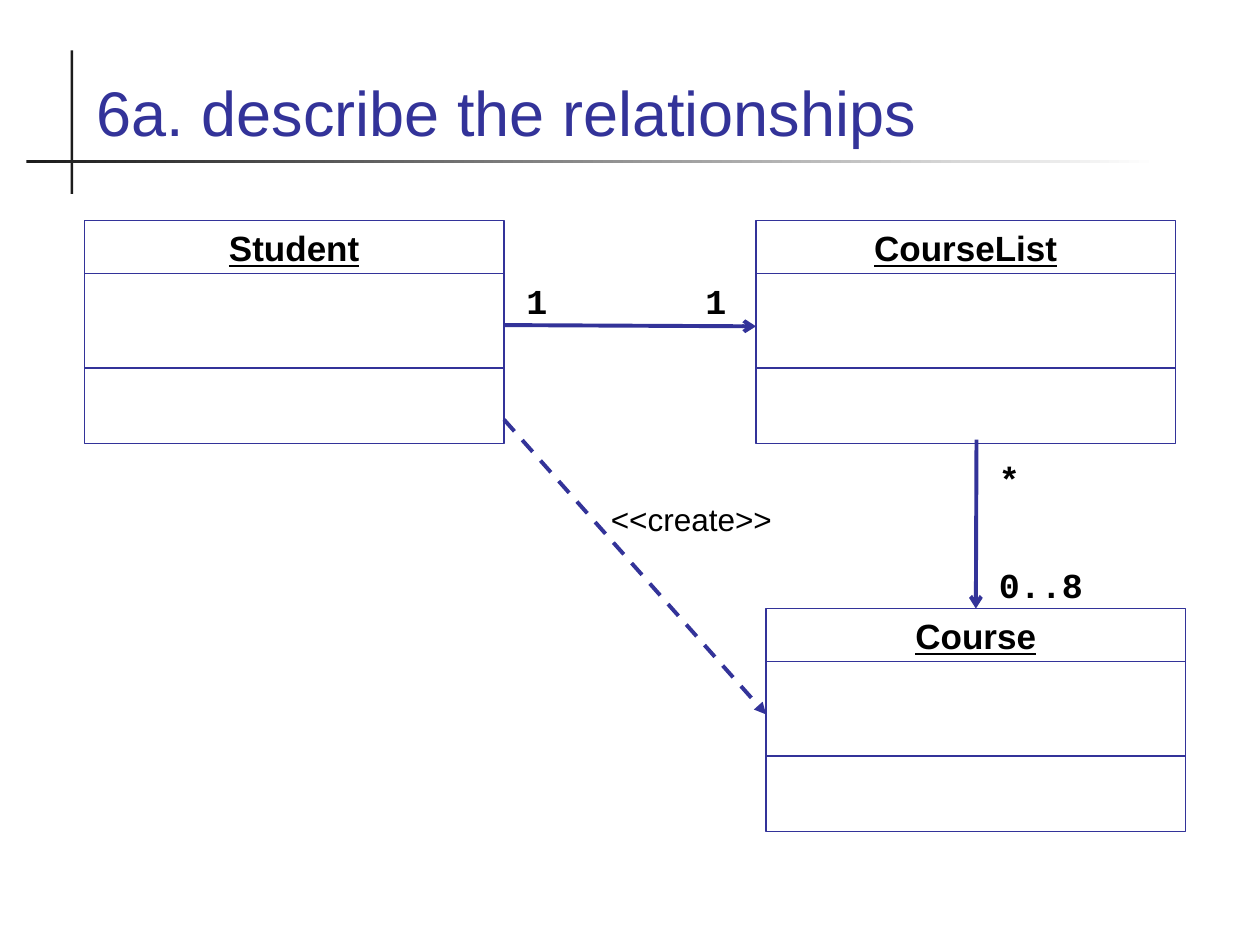
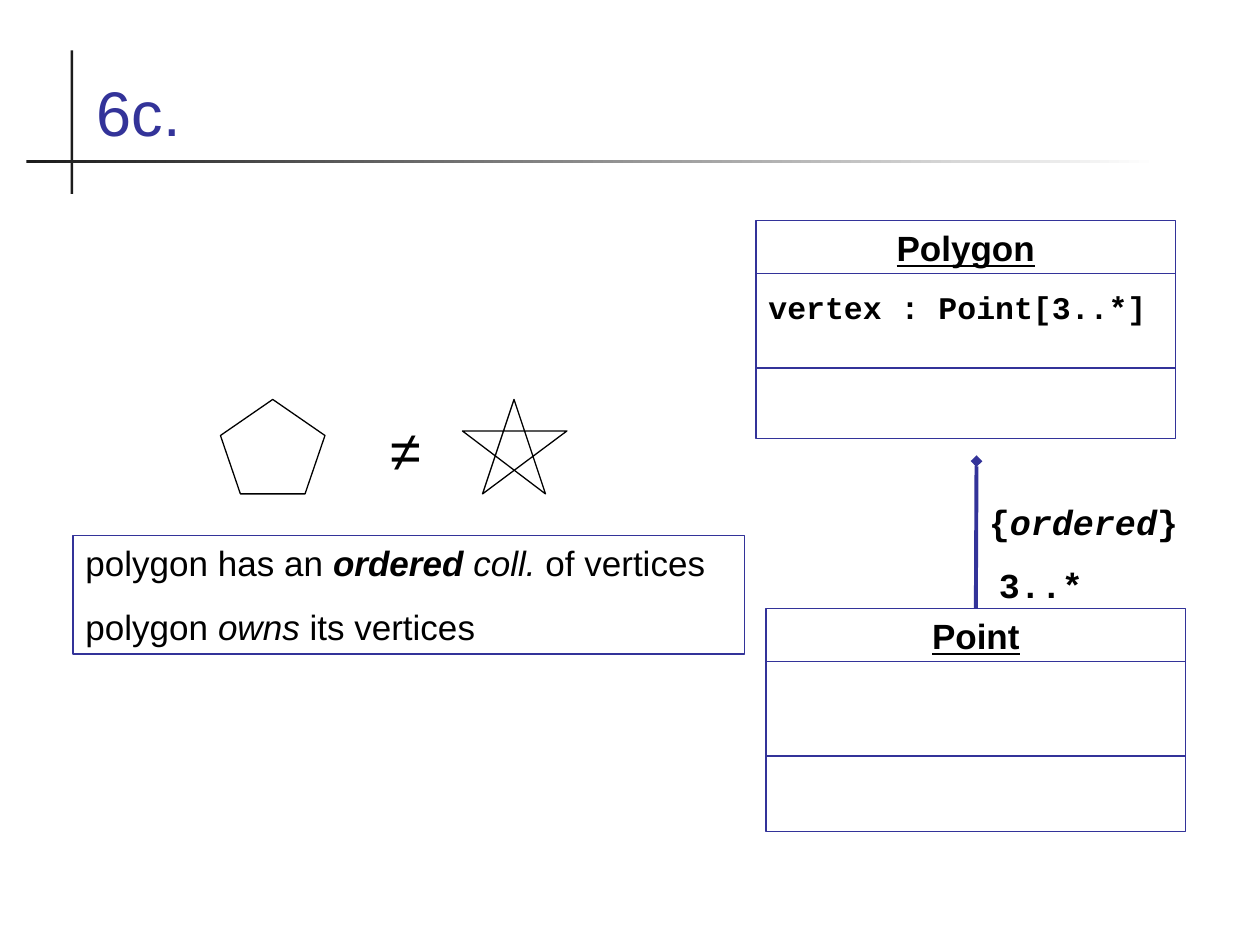
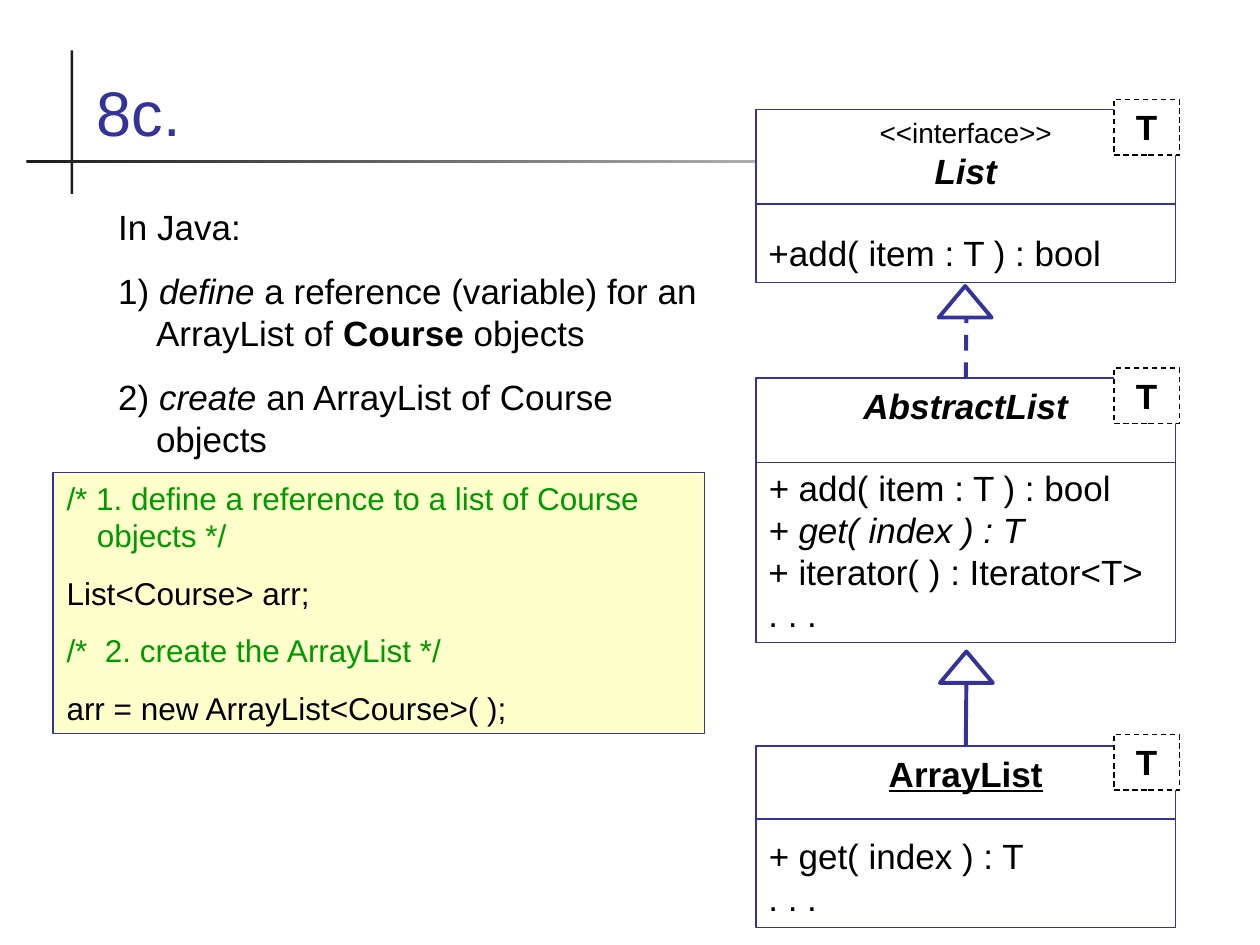
from dataclasses import dataclass

import lxml.etree
import pptx
import pptx.dml.color
import pptx.enum.dml
import pptx.enum.shapes
import pptx.enum.text
import pptx.oxml.ns
import pptx.util

Inches = pptx.util.Inches
Pt = pptx.util.Pt
RGBColor = pptx.dml.color.RGBColor
MSO_SHAPE = pptx.enum.shapes.MSO_SHAPE
PP_ALIGN = pptx.enum.text.PP_ALIGN
DASH = pptx.enum.dml.MSO_LINE.DASH
qn = pptx.oxml.ns.qn

INDIGO = RGBColor(0x33, 0x33, 0x99)
CHARCOAL = RGBColor(0x1C, 0x1C, 0x1C)
BLACK = RGBColor(0, 0, 0)
WHITE = RGBColor(0xFF, 0xFF, 0xFF)
CREAM = RGBColor(0xFF, 0xFF, 0xCC)
GREEN = RGBColor(0, 0x99, 0)

SANS = "Arial"
MONO = "Courier New"
THIN, THICK = 0.75, 2.25
CLASS_WIDTH = 3.33
BLANK_LINE = 23


@dataclass
class Text:
    runs: list
    size: float = 20
    font: str = SANS
    color: RGBColor = BLACK
    align: PP_ALIGN = PP_ALIGN.LEFT
    before: float = 0
    hanging: float = 0


def plain(words, **options):
    return Text([(words, "")], **options)


def heading(words, style="bu"):
    return Text([(words, style)], align=PP_ALIGN.CENTER)


class Deck:
    def __init__(self):
        self.presentation = pptx.Presentation()
        self.presentation.slide_width = Inches(10)
        self.presentation.slide_height = Inches(7.5)
        self.slide = None

    def add_slide(self, title):
        self.slide = self.presentation.slides.add_slide(self.presentation.slide_layouts[6])
        self.box(0.56, 0.4, 0.02, 1.14, fill=CHARCOAL, line=None)
        rule = self.box(0.21, 1.27, 8.99, 0.02, line=None)
        rule.fill.gradient()
        rule.fill.gradient_angle = 0
        for stop, color in zip(rule.fill.gradient_stops, (CHARCOAL, WHITE)):
            stop.color.rgb = color
        title_box = self.text(0.67, 0.28, 8.66, 0.95, [plain(title, size=36, color=INDIGO)])
        title_box.text_frame.vertical_anchor = pptx.enum.text.MSO_ANCHOR.BOTTOM

    def fill_text(self, shape, texts, wrap=True):
        frame = shape.text_frame
        frame.word_wrap = wrap
        frame.vertical_anchor = pptx.enum.text.MSO_ANCHOR.TOP
        for index, text in enumerate(texts):
            paragraph = frame.add_paragraph() if index else frame.paragraphs[0]
            paragraph.alignment = text.align
            if index and text.before:
                paragraph.space_before = Pt(text.before)
            if text.hanging:
                properties = paragraph._p.get_or_add_pPr()
                properties.set("marL", str(Inches(text.hanging)))
                properties.set("indent", str(-Inches(text.hanging - 0.01)))
            for words, style in text.runs:
                run = paragraph.add_run()
                run.text = words
                run.font.name = text.font
                run.font.size = Pt(text.size)
                run.font.color.rgb = text.color
                run.font.bold = "b" in style
                run.font.italic = "i" in style
                run.font.underline = "u" in style

    def text(self, left, top, width, height, texts, wrap=True):
        shape = self.slide.shapes.add_textbox(
            Inches(left), Inches(top), Inches(width), Inches(height))
        self.fill_text(shape, texts, wrap)
        return shape

    def outline(self, shape, color, weight=THIN, fill=None, dash=None):
        shape.shadow.inherit = False
        if fill is None:
            shape.fill.background()
        else:
            shape.fill.solid()
            shape.fill.fore_color.rgb = fill
        if color is None:
            shape.line.fill.background()
            return
        shape.line.color.rgb = color
        shape.line.width = Pt(weight)
        if dash:
            shape.line.dash_style = dash

    def box(self, left, top, width, height, texts=(), fill=None, line=INDIGO,
            weight=THIN, dash=None, kind=MSO_SHAPE.RECTANGLE, wrap=True):
        shape = self.slide.shapes.add_shape(
            kind, Inches(left), Inches(top), Inches(width), Inches(height))
        self.outline(shape, line, weight, fill, dash)
        self.fill_text(shape, texts, wrap)
        return shape

    def connector(self, start, end, weight=THICK, arrow=None, dash=None, source=None):
        line = self.slide.shapes.add_connector(
            pptx.enum.shapes.MSO_CONNECTOR.STRAIGHT,
            *(Inches(value) for value in (*start, *end)))
        if source is not None:
            line.begin_connect(source, 0)
        line.line.color.rgb = INDIGO
        line.line.width = Pt(weight)
        if dash:
            line.line.dash_style = dash
        if arrow:
            end_name, arrow_type = arrow
            outline = line.line._get_or_add_ln()
            lxml.etree.SubElement(outline, qn("a:" + end_name)).set("type", arrow_type)
        lxml.etree.SubElement(line._element.spPr, qn("a:effectLst"))

    def class_box(self, left, top, height, texts, dividers=(0.42, 1.17), fill=None):
        shape = self.box(left, top, CLASS_WIDTH, height, texts, fill)
        for offset in dividers:
            self.connector((left, top + offset), (left + CLASS_WIDTH, top + offset), THIN)
        return shape

    def multiplicity(self, left, top, width, *runs):
        text = Text(list(runs), font=MONO)
        self.text(left, top, width, 0.44, [text], wrap=False)

    def type_parameter(self, top):
        self.box(8.84, top, 0.52, 0.44, [heading("T", "b")],
                 fill=WHITE, line=BLACK, dash=DASH, wrap=False)

    def inheritance(self, subclass, subclass_top, triangle_left, triangle_top, dash=None):
        self.connector((7.67, subclass_top), (7.67, triangle_top + 0.24),
                       dash=dash, source=subclass)
        self.box(triangle_left, triangle_top, 0.42, 0.25, weight=THICK,
                 kind=MSO_SHAPE.ISOSCELES_TRIANGLE)

    def freeform(self, points):
        corners = [(Inches(x), Inches(y)) for x, y in points]
        builder = self.slide.shapes.build_freeform(*corners[0], scale=1.0)
        builder.add_line_segments(corners[1:], close=True)
        self.outline(builder.convert_to_shape(), BLACK)


def relationships_slide(deck):
    deck.add_slide("6a. describe the relationships")
    deck.class_box(0.67, 1.75, 1.77, [heading("Student")])
    deck.class_box(6, 1.75, 1.77, [heading("CourseList")])
    deck.connector((4, 2.58), (6, 2.59), arrow=("tailEnd", "arrow"))
    course = deck.class_box(6.08, 4.83, 1.77, [heading("Course")])
    deck.connector((7.74, 4.83), (7.75, 3.49), arrow=("headEnd", "arrow"), source=course)
    for left, top, width, count in (
            (5.5, 2.17, 0.36, "1"), (4.08, 2.17, 0.36, "1"),
            (7.83, 4.42, 0.87, "0..8"), (7.83, 3.58, 0.36, "*")):
        deck.multiplicity(left, top, width, (count, "b"))
    deck.connector((4, 3.33), (6.08, 5.67), arrow=("tailEnd", "triangle"), dash=DASH)
    deck.text(4.75, 3.92, 1.67, 0.4, [plain("<<create>>", size=18)])


def polygon_slide(deck):
    deck.add_slide("6c.")
    deck.class_box(6, 1.75, 1.73, [
        heading("Polygon"),
        Text([("vertex : Point[3..*]", "b")], size=18, font=MONO, before=11.2)])
    point = deck.class_box(6.08, 4.83, 1.77, [heading("Point")])
    deck.multiplicity(7.83, 4.42, 0.87, ("3..*", "b"))
    deck.connector((7.75, 4.83), (7.75, 3.66), arrow=("tailEnd", "diamond"), source=point)
    deck.multiplicity(7.75, 3.92, 1.7, ("{", "b"), ("ordered", "bi"), ("}", "b"))
    deck.box(0.58, 4.25, 5.33, 0.94, [
        Text([("polygon has an ", ""), ("ordered", "bi"), (" coll.", "i"),
              (" of vertices", "")]),
        Text([("polygon ", ""), ("owns", "i"), (" its vertices", "")], before=12.5)])
    deck.box(1.75, 3.17, 0.83, 0.75, line=BLACK, kind=MSO_SHAPE.REGULAR_PENTAGON)
    deck.freeform([(4.08, 3.17), (4.33, 3.92), (3.67, 3.42), (4.5, 3.42), (3.83, 3.92)])
    deck.text(2.95, 3.25, 0.55, 0.64,
              [plain("≠", size=32, align=PP_ALIGN.CENTER)], wrap=False)


def array_list_slide(deck):
    deck.add_slide("8c.")
    abstract_list = deck.class_box(6, 3, 2.1, [
        heading("AbstractList", "bi"),
        Text([("+ ", "i"), ("add( item : T ) : bool", "")], before=BLANK_LINE),
        Text([("+ get( index ) : T", "i")]),
        plain("+ iterator( ) : Iterator<T>"),
        plain(". . .")], dividers=(0.67,))
    array_list = deck.class_box(6, 5.92, 1.44, [
        heading("ArrayList"),
        Text([("+ ", "i"), ("get( index ) : T", "")], before=BLANK_LINE),
        plain(". . .")], dividers=(0.58,))
    deck.class_box(6, 0.87, 1.37, [
        plain("<<interface>>", size=16, align=PP_ALIGN.CENTER),
        heading("List", "bi"),
        plain("+add( item : T ) : bool", before=BLANK_LINE)], dividers=(0.75,), fill=WHITE)
    deck.inheritance(array_list, 5.92, 7.46, 5.17)
    deck.inheritance(abstract_list, 3, 7.45, 2.27, dash=DASH)
    for top in (0.79, 2.92, 5.83):
        deck.type_parameter(top)

    task = {"before": 12.5, "hanging": 0.31}
    deck.text(0.83, 1.58, 4.92, 2.12, [
        plain("In Java:", **task),
        Text([("1) ", ""), ("define", "i"), (" a reference (variable) for an ArrayList of ", ""),
              ("Course", "b"), (" objects", "")], **task),
        Text([("2) ", ""), ("create", "i"), (" an ArrayList of Course objects", "")], **task)])
    code = (("/* 1. define a reference to a list of Course objects */", GREEN),
            ("List<Course> arr;", BLACK),
            ("/*  2. create the ArrayList */", GREEN),
            ("arr = new ArrayList<Course>( );", BLACK))
    deck.box(0.42, 3.75, 5.17, 2.07, [
        plain(line, size=18, color=color, before=11.2, hanging=0.25)
        for line, color in code], fill=CREAM)


def main():
    deck = Deck()
    relationships_slide(deck)
    polygon_slide(deck)
    array_list_slide(deck)
    deck.presentation.save("out.pptx")


if __name__ == "__main__":
    main()
